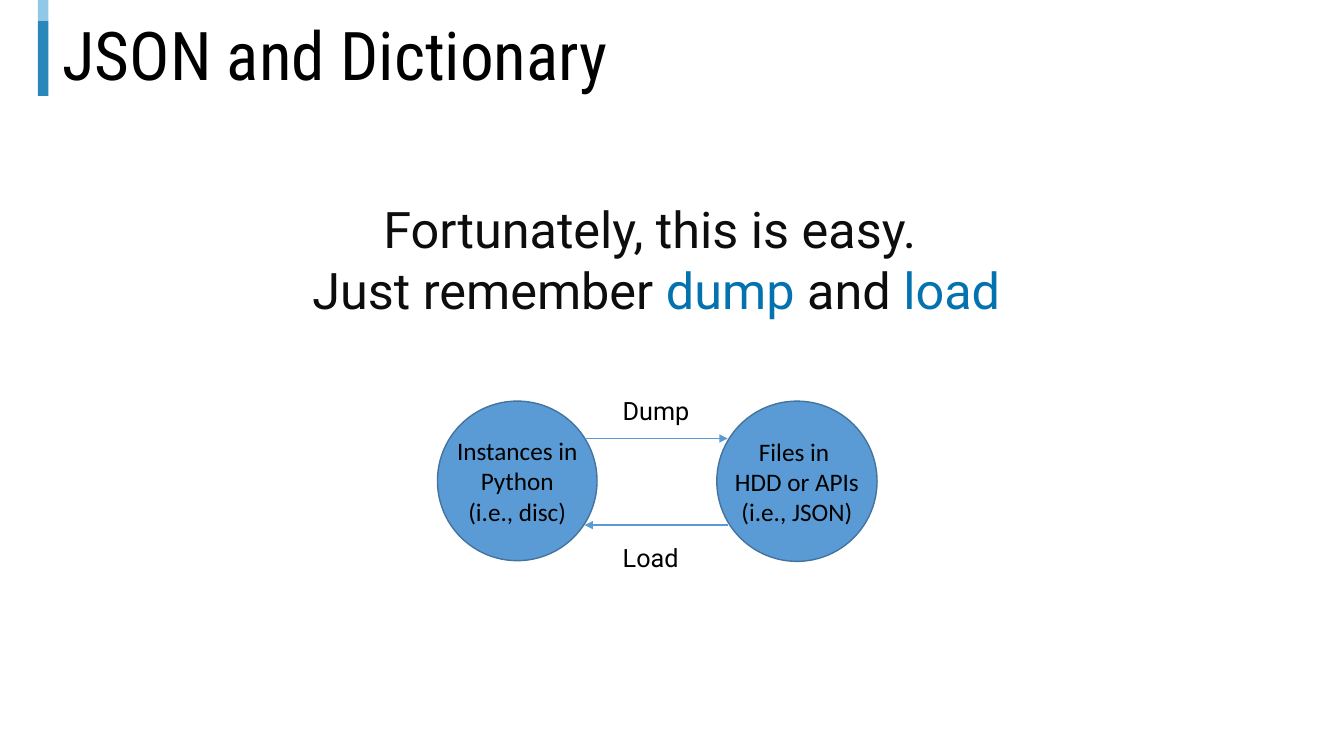
import pptx
import pptx.util
import pptx.dml.color
import pptx.enum.shapes
import pptx.enum.text
import pptx.oxml.ns
import lxml.etree

Pt = pptx.util.Pt
Kind = pptx.enum.shapes.MSO_SHAPE
Align = pptx.enum.text.PP_ALIGN
Anchor = pptx.enum.text.MSO_ANCHOR
qn = pptx.oxml.ns.qn


def tint(code):
    return pptx.dml.color.RGBColor.from_string(code)


class Deck:
    black, dark, accent = "000000", "0D0D0D", "0472AF"
    blue, edge = "5B9BD5", "43739E"

    def __init__(self, slide):
        self.slide = slide

    def label(self, shape, lines, size, font, color, align=Align.LEFT,
              wrap=True, anchor=Anchor.TOP, space=None):
        """Fill a shape with lines; parts between asterisks get the accent."""
        frame = shape.text_frame
        frame.word_wrap = wrap
        frame.vertical_anchor = anchor
        frame.text = "\n".join(line.split("*")[0] for line in lines)
        for para, line in zip(frame.paragraphs, lines):
            para.alignment = align
            para.line_spacing = space
            for part in line.split("*")[1:]:
                para.add_run().text = part
            for i, run in enumerate(para.runs):
                run.font.size = Pt(size)
                run.font.name = font
                run.font.color.rgb = tint(self.accent if i % 2 and "*" in line
                                          else color)

    def text(self, x, y, w, h, lines, size, font, color, **style):
        box = self.slide.shapes.add_textbox(Pt(x), Pt(y), Pt(w), Pt(h))
        self.label(box, lines, size, font, color, **style)

    def shape(self, kind, x, y, w, h, fill, line=None):
        item = self.slide.shapes.add_shape(kind, Pt(x), Pt(y), Pt(w), Pt(h))
        item.shadow.inherit = False
        item.fill.solid()
        item.fill.fore_color.rgb = tint(fill)
        if line:
            item.line.color.rgb = tint(line)
            item.line.width = Pt(1)
        else:
            item.line.fill.background()
        return item

    def node(self, x, y, size, lines):
        disc = self.shape(Kind.OVAL, x, y, size, size, self.blue, self.edge)
        self.label(disc, lines, 18, "Calibri", self.black, align=Align.CENTER,
                   wrap=False, anchor=Anchor.MIDDLE)

    def arrow(self, start, end, y):
        link = self.slide.shapes.add_connector(
            pptx.enum.shapes.MSO_CONNECTOR.STRAIGHT,
            Pt(start), Pt(y), Pt(end), Pt(y))
        link.line.color.rgb = tint(self.blue)
        link.line.width = Pt(1)
        props = link._element.spPr
        lxml.etree.SubElement(props.find(qn("a:ln")), qn("a:tailEnd"),
                              type="triangle")
        lxml.etree.SubElement(props, qn("a:effectLst"))


show = pptx.Presentation()
show.slide_width, show.slide_height = Pt(960), Pt(540)
deck = Deck(show.slides.add_slide(show.slide_layouts[6]))

# Title with its two-tone bar
deck.text(37.5, 15, 911.5, 53.5, ["JSON and Dictionary"], 48,
          "Roboto Condensed", deck.black, anchor=Anchor.MIDDLE, space=0.9)
for top, tall, fill in ((15, 53.5, "2987BB"), (0, 15, "91C8E7")):
    deck.shape(Kind.RECTANGLE, 27, top, 7.5, tall, fill)

# Key message
deck.text(52.5, 138.25, 832.5, 94.5,
          ["Fortunately, this is easy. ", "Just remember *dump* and *load"],
          36, "Roboto", deck.dark, align=Align.CENTER)

# Memory and storage
deck.node(312.5, 286.5, 114, ["Instances in", "Python\v(i.e., disc)"])
deck.node(512, 286.5, 114.5, ["Files in ", "HDD or APIs", "(i.e., JSON)"])

# Operations between them
left, right = 417.6, 519.8
for word, top, wide, start, end, y in (
        ("Dump", 278.5, 63.5, left, right, 313.2),
        ("Load", 384, 55, right, left, 375.1)):
    deck.text(437.75, top, wide, 29, [word], 18, "Roboto", deck.black,
              wrap=False)
    deck.arrow(start, end, y)

show.save("out.pptx")
